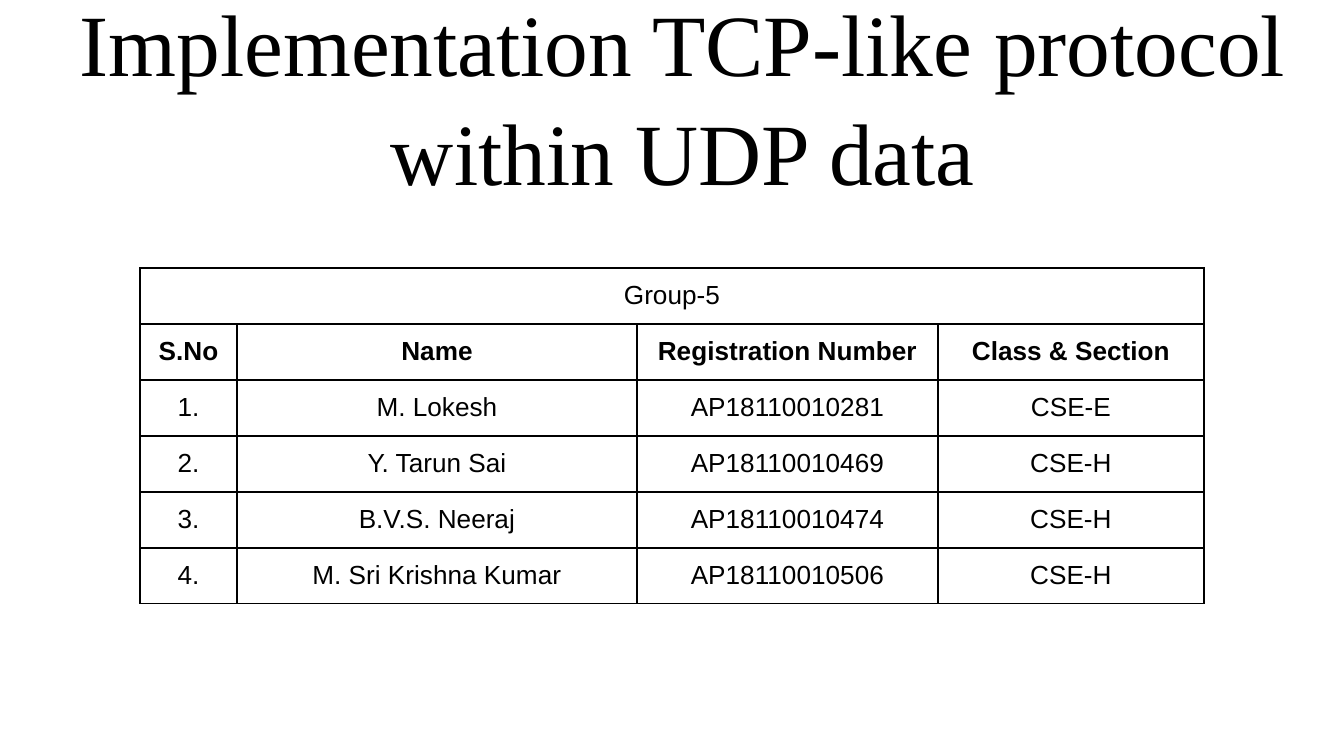
from lxml.etree import SubElement
from pptx import Presentation
from pptx.dml.color import RGBColor
from pptx.enum.text import MSO_ANCHOR as Anchor, MSO_AUTO_SIZE as AutoSize, PP_ALIGN as Align
from pptx.oxml.ns import qn
from pptx.util import Emu, Pt

SCALE = 9144000 / 1344  # EMU per pixel
INSET = 13
BLACK = "000000"


def px(pixels):
    return Emu(round(pixels * SCALE))


def write(frame, text, font, size, bold=False):
    paragraph = frame.paragraphs[0]
    paragraph.alignment = Align.CENTER
    run = paragraph.add_run()
    run.text = text
    run.font.name = font
    run.font.size = Pt(size)
    run.font.bold = bold
    run.font.color.rgb = RGBColor.from_string(BLACK)
    return paragraph


presentation = Presentation()
presentation.slide_width, presentation.slide_height = px(1344), px(756)
slide = presentation.slides.add_slide(presentation.slide_layouts[5])

# Title
title = slide.shapes.title
title.left, title.top, title.width, title.height = px(46), px(12), px(1274), px(204)
frame = title.text_frame
frame.word_wrap = True
frame.auto_size = AutoSize.NONE
frame.vertical_anchor = Anchor.BOTTOM
frame.margin_left = frame.margin_right = frame.margin_top = frame.margin_bottom = px(INSET)
heading = write(frame, "Implementation TCP-like protocol within UDP data", "Times New Roman", 46.8)
heading.line_spacing = 1.04

# Group table
rows = [
    ["Group-5", "", "", ""],
    ["S.No", "Name", "Registration Number", "Class & Section"],
    ["1.", "M. Lokesh", "AP18110010281", "CSE-E"],
    ["2.", "Y. Tarun Sai", "AP18110010469", "CSE-H"],
    ["3.", "B.V.S. Neeraj", "AP18110010474", "CSE-H"],
    ["4.", "M. Sri Krishna Kumar", "AP18110010506", "CSE-H"],
]
column_widths = [97, 400, 301, 266]
row_height = 56
table = slide.shapes.add_table(
    len(rows), len(column_widths), px(140), px(268),
    px(sum(column_widths)), px(row_height * len(rows))).table
table.first_row = table.horz_banding = False
for column, width in zip(table.columns, column_widths):
    column.width = px(width)

for row_index, texts in enumerate(rows):
    table.rows[row_index].height = px(row_height)
    for column_index, text in enumerate(texts):
        cell = table.cell(row_index, column_index)
        cell.margin_left = cell.margin_right = cell.margin_top = cell.margin_bottom = px(INSET)
        if text:
            write(cell.text_frame, text, "Arial", 14, bold=row_index == 1)
        # Borders come before the fill in the cell properties
        properties = cell._tc.get_or_add_tcPr()
        for side in ("a:lnL", "a:lnR", "a:lnT", "a:lnB"):
            line = SubElement(properties, qn(side), w=str(Pt(0.75)))
            fill = SubElement(line, qn("a:solidFill"))
            SubElement(fill, qn("a:srgbClr"), val=BLACK)
        cell.fill.background()
table.cell(0, 0).merge(table.cell(0, 3))

presentation.save("out.pptx")
